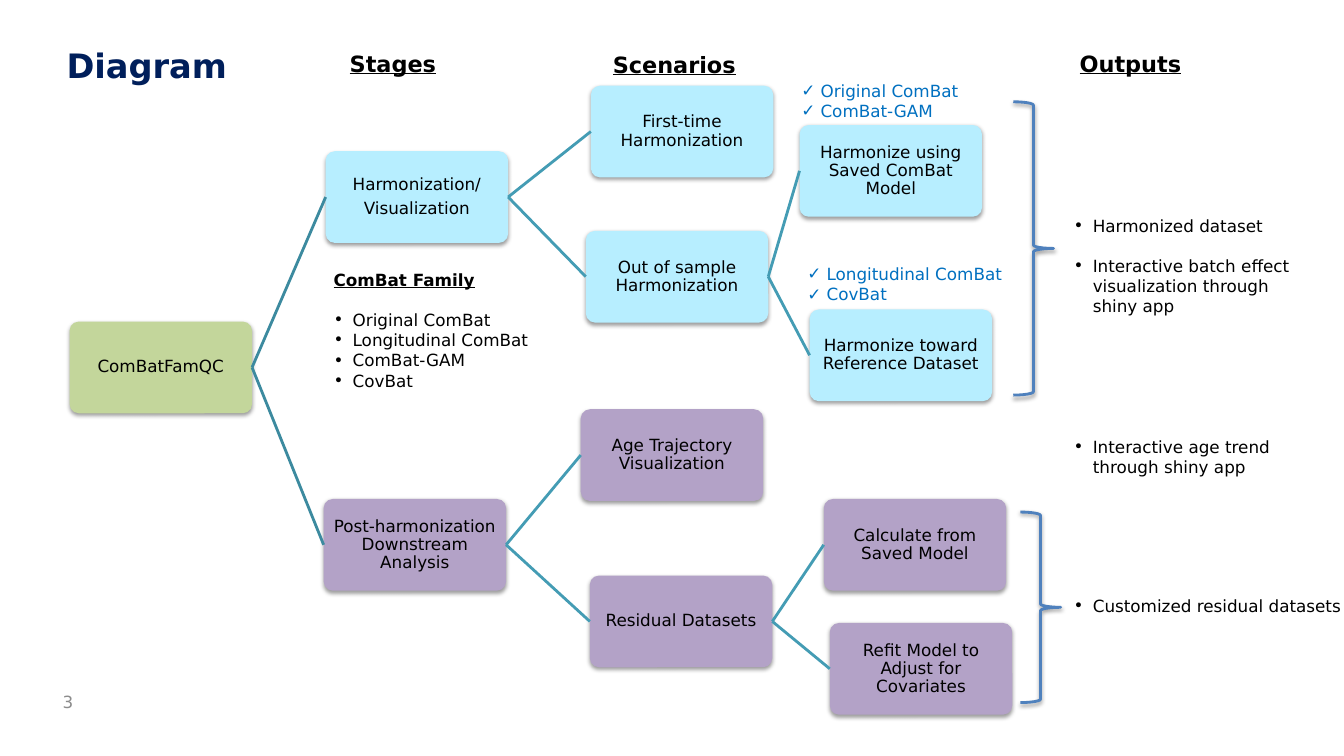
from lxml.etree import SubElement
from pptx import Presentation
from pptx.dml.color import RGBColor
from pptx.enum.shapes import MSO_CONNECTOR as Line, MSO_SHAPE as Shape
from pptx.enum.text import MSO_ANCHOR as Anchor, PP_ALIGN as Align
from pptx.oxml.ns import qn
from pptx.util import Inches, Pt

FONT = "DejaVu Sans"
GREEN, CYAN, PURPLE = "C3D69B", "B7EEFF", "B3A2C7"
BLACK, NAVY, GREY, BLUE = "000000", "001F5B", "8C8C8C", "0070C0"
STAGE_LINE, SCENARIO_LINE, BRACE_LINE = "3C8A9F", "449CB4", "4F81BD"
RIGHT_SITE, LEFT_SITE = 3, 1

# label, left, top, fill, parent label
NODES = [
    ("ComBatFamQC", 0.69, 3.19, GREEN, None),
    ("Harmonization/\nVisualization", 3.23, 1.5, CYAN, "ComBatFamQC"),
    ("First-time Harmonization", 5.86, 0.85, CYAN, "Harmonization/\nVisualization"),
    ("Out of sample Harmonization", 5.81, 2.29, CYAN, "Harmonization/\nVisualization"),
    ("Harmonize using Saved ComBat Model", 7.93, 1.24, CYAN, "Out of sample Harmonization"),
    ("Harmonize toward Reference Dataset", 8.03, 3.07, CYAN, "Out of sample Harmonization"),
    ("Post-harmonization Downstream Analysis", 3.21, 4.95, PURPLE, "ComBatFamQC"),
    ("Age Trajectory Visualization", 5.76, 4.06, PURPLE, "Post-harmonization Downstream Analysis"),
    ("Residual Datasets", 5.85, 5.71, PURPLE, "Post-harmonization Downstream Analysis"),
    ("Calculate from Saved Model", 8.17, 4.95, PURPLE, "Residual Datasets"),
    ("Refit Model to Adjust for Covariates", 8.23, 6.18, PURPLE, "Residual Datasets"),
]


def colour(value):
    """Turn a hex string into a colour."""
    return RGBColor.from_string(value)


def style(para, size=12, shade=BLACK, bold=False, underline=False):
    """Format every run of a paragraph."""
    for span in para.runs:
        font = span.font
        font.name, font.size = FONT, Pt(size)
        font.bold, font.underline = bold, underline
        font.color.rgb = colour(shade)


def add_bullet(para, mark):
    """Give a paragraph a hanging bullet."""
    props = para._p.get_or_add_pPr()
    props.set("marL", str(Inches(0.19)))
    props.set("indent", str(-Inches(0.19)))
    SubElement(props, qn("a:buFont"), typeface=FONT)
    SubElement(props, qn("a:buChar"), char=mark)


def add_shadow(shape):
    """Put a soft shadow just below a shape."""
    effects = SubElement(shape._element.spPr, qn("a:effectLst"))
    shadow = SubElement(effects, qn("a:outerShdw"), blurRad=str(Pt(3.1)),
                        dist=str(Pt(1.6)), dir="5400000", rotWithShape="0")
    shade = SubElement(shadow, qn("a:srgbClr"), val=BLACK)
    SubElement(shade, qn("a:alpha"), val="38000")


def add_text(page, text, left, top, width, height):
    """Add a wrapping text box and return its frame."""
    box = page.shapes.add_textbox(Inches(left), Inches(top), Inches(width), Inches(height))
    frame = box.text_frame
    frame.word_wrap = True
    frame.text = text
    return frame


def add_heading(page, text, left, top):
    """Add an underlined column heading."""
    frame = add_text(page, text, left, top, 2.71, 0.37)
    style(frame.paragraphs[0], 16, bold=True, underline=True)


def add_list(page, items, left, top, width, height, mark="•", shade=BLACK, gap=0, title=None):
    """Add a bulleted list, with an optional underlined title."""
    lines = [title] + items if title else items
    frame = add_text(page, "\n".join(lines), left, top, width, height)
    paras = list(frame.paragraphs)
    if title:
        style(paras.pop(0), bold=True, underline=True)
        paras[0].space_before = Pt(14)
    for index, para in enumerate(paras):
        if index and gap:
            para.space_before = Pt(gap)
        add_bullet(para, mark)
        style(para, shade=shade)


def add_node(page, label, left, top, fill):
    """Add a rounded box of the tree."""
    node = page.shapes.add_shape(Shape.ROUNDED_RECTANGLE, Inches(left), Inches(top),
                                 Inches(1.81), Inches(0.91))
    node.adjustments[0] = 0.1
    node.fill.solid()
    node.fill.fore_color.rgb = colour(fill)
    node.line.fill.background()
    add_shadow(node)
    frame = node.text_frame
    frame.word_wrap = True
    frame.vertical_anchor = Anchor.MIDDLE
    frame.margin_left = frame.margin_right = Inches(0.04)
    frame.margin_top = frame.margin_bottom = Inches(0.04)
    frame.text = label
    for para in frame.paragraphs:
        para.alignment = Align.CENTER
        para.line_spacing = 0.9
        para.space_after = Pt(4.2)
        style(para)
    return node


def add_branch(page, parent, child, shade):
    """Join a parent's right side to a child's left side."""
    branch = page.shapes.add_connector(Line.STRAIGHT, 0, 0, 0, 0)
    branch.begin_connect(parent, RIGHT_SITE)
    branch.end_connect(child, LEFT_SITE)
    branch.line.color.rgb = colour(shade)
    branch.line.width = Pt(2)
    SubElement(branch._element.spPr, qn("a:effectLst"))


def add_tree(page):
    """Add all nodes and the branches between them."""
    placed = {}
    for label, left, top, fill, parent in NODES:
        placed[label] = add_node(page, label, left, top, fill)
        if parent:
            shade = STAGE_LINE if parent == "ComBatFamQC" else SCENARIO_LINE
            add_branch(page, placed[parent], placed[label], shade)


def add_brace(page, left, top, height):
    """Add a right brace that gathers nodes."""
    brace = page.shapes.add_shape(Shape.RIGHT_BRACE, Inches(left), Inches(top),
                                  Inches(0.4), Inches(height))
    brace.fill.background()
    brace.line.color.rgb = colour(BRACE_LINE)
    brace.line.width = Pt(2)
    add_shadow(brace)


def add_title(page, text):
    """Place and format the slide title."""
    title = page.shapes.title
    title.left, title.top = Inches(0.56), Inches(0.4)
    title.width, title.height = Inches(12.4), Inches(0.64)
    frame = title.text_frame
    frame.text = text
    frame.vertical_anchor = Anchor.TOP
    frame.paragraphs[0].alignment = Align.LEFT
    style(frame.paragraphs[0], 24, NAVY, bold=True)


def add_page_number(page, number):
    """Add the grey page number."""
    frame = add_text(page, number, 0.43, 6.76, 0.49, 0.4)
    frame.vertical_anchor = Anchor.MIDDLE
    frame.paragraphs[0].alignment = Align.CENTER
    style(frame.paragraphs[0], shade=GREY)


def main():
    """Build the slide and save it."""
    deck = Presentation()
    deck.slide_width, deck.slide_height = Inches(13.33), Inches(7.5)
    page = deck.slides.add_slide(deck.slide_layouts[5])
    add_title(page, "Diagram")
    add_page_number(page, "3")
    add_tree(page)
    add_brace(page, 10.05, 1.01, 2.91)
    add_brace(page, 10.12, 5.08, 1.89)
    add_heading(page, "Stages", 3.37, 0.45)
    add_heading(page, "Scenarios", 5.98, 0.46)
    add_heading(page, "Outputs", 10.61, 0.45)
    add_list(page, ["Original ComBat", "Longitudinal ComBat", "ComBat-GAM", "CovBat"],
             3.21, 2.63, 2.46, 1.31, title="ComBat Family")
    add_list(page, ["Original ComBat", "ComBat-GAM"], 7.85, 0.75, 2.46, 0.5, "✓", BLUE)
    add_list(page, ["Longitudinal ComBat", "CovBat"], 7.91, 2.57, 2.46, 0.5, "✓", BLUE)
    add_list(page, ["Harmonized dataset",
                    "Interactive batch effect visualization through shiny app"],
             10.55, 2.09, 2.46, 1.11, gap=14)
    add_list(page, ["Interactive age trend through shiny app"], 10.55, 4.28, 2.71, 0.5)
    add_list(page, ["Customized residual datasets"], 10.55, 5.86, 3.31, 0.3)
    deck.save("out.pptx")


if __name__ == "__main__":
    main()
